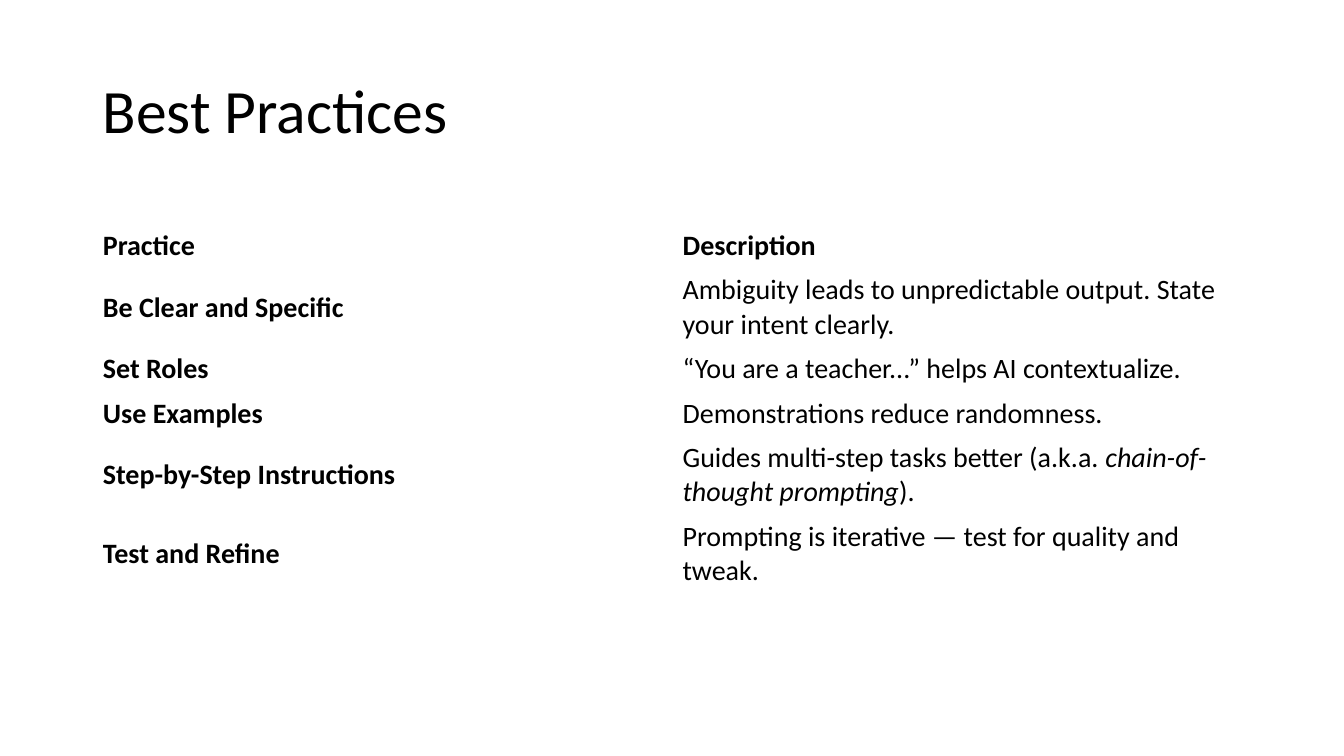
import dataclasses

import pptx
import pptx.dml.color
import pptx.enum.text
import pptx.util

Inches = pptx.util.Inches
Anchor = pptx.enum.text.MSO_ANCHOR
Align = pptx.enum.text.PP_ALIGN


@dataclasses.dataclass(frozen=True)
class Theme:
    font: str = "Calibri"
    ink: str = "000000"
    head: int = 44
    body: int = 20


@dataclasses.dataclass(frozen=True)
class Run:
    text: str
    bold: bool = False
    italic: bool = False


@dataclasses.dataclass(frozen=True)
class Row:
    label: str
    detail: tuple[Run, ...]
    lines: int = 1


THEME = Theme()
LEFT, WIDTH = 0.92, 11.5
TOP = 2.22
LINE, PAD = 0.34, 0.1

ROWS = (
    Row("Practice", (Run("Description", bold=True),)),
    Row("Be Clear and Specific",
        (Run("Ambiguity leads to unpredictable output. State your intent clearly."),), 2),
    Row("Set Roles", (Run("“You are a teacher...” helps AI contextualize."),)),
    Row("Use Examples", (Run("Demonstrations reduce randomness."),)),
    Row("Step-by-Step Instructions",
        (Run("Guides multi-step tasks better (a.k.a. "),
         Run("chain-of-thought prompting", italic=True),
         Run(").")), 2),
    Row("Test and Refine",
        (Run("Prompting is iterative — test for quality and tweak."),), 2),
)


def apply(target: object, values: dict[str, object]) -> None:
    for name, value in values.items():
        setattr(target, name, value)


def write(para: object, runs: tuple[Run, ...], size: int) -> None:
    for item in runs:
        run = para.add_run()
        run.text = item.text
        apply(run.font, {"name": THEME.font, "size": pptx.util.Pt(size),
                         "bold": item.bold, "italic": item.italic})
        run.font.color.rgb = pptx.dml.color.RGBColor.from_string(THEME.ink)


def add_title(slide: object, text: str) -> None:
    title = slide.shapes.title
    apply(title, {"left": Inches(LEFT), "top": Inches(0.4),
                  "width": Inches(WIDTH), "height": Inches(1.45)})
    apply(title.text_frame, {"vertical_anchor": Anchor.MIDDLE, "word_wrap": True})
    para = title.text_frame.paragraphs[0]
    apply(para, {"alignment": Align.LEFT, "line_spacing": 0.9})
    write(para, (Run(text),), THEME.head)


def add_grid(slide: object, rows: tuple[Row, ...]) -> None:
    highs = [LINE * row.lines + PAD for row in rows]
    table = slide.shapes.add_table(
        len(rows), 2, Inches(LEFT), Inches(TOP),
        Inches(WIDTH), Inches(sum(highs))).table
    apply(table, {"first_row": False, "horz_banding": False})

    for num, (row, high) in enumerate(zip(rows, highs)):
        table.rows[num].height = Inches(high)
        label = (Run(row.label, bold=True),)
        for col, runs in enumerate((label, row.detail)):
            cell = table.cell(num, col)
            cell.fill.background()
            cell.vertical_anchor = Anchor.MIDDLE
            write(cell.text_frame.paragraphs[0], runs, THEME.body)


def main() -> None:
    # Page
    deck = pptx.Presentation()
    apply(deck, {"slide_width": Inches(13.33), "slide_height": Inches(7.5)})
    slide = deck.slides.add_slide(deck.slide_layouts.get_by_name("Title Only"))

    # Content
    add_title(slide, "Best Practices")
    add_grid(slide, ROWS)
    deck.save("out.pptx")


if __name__ == "__main__":
    main()
